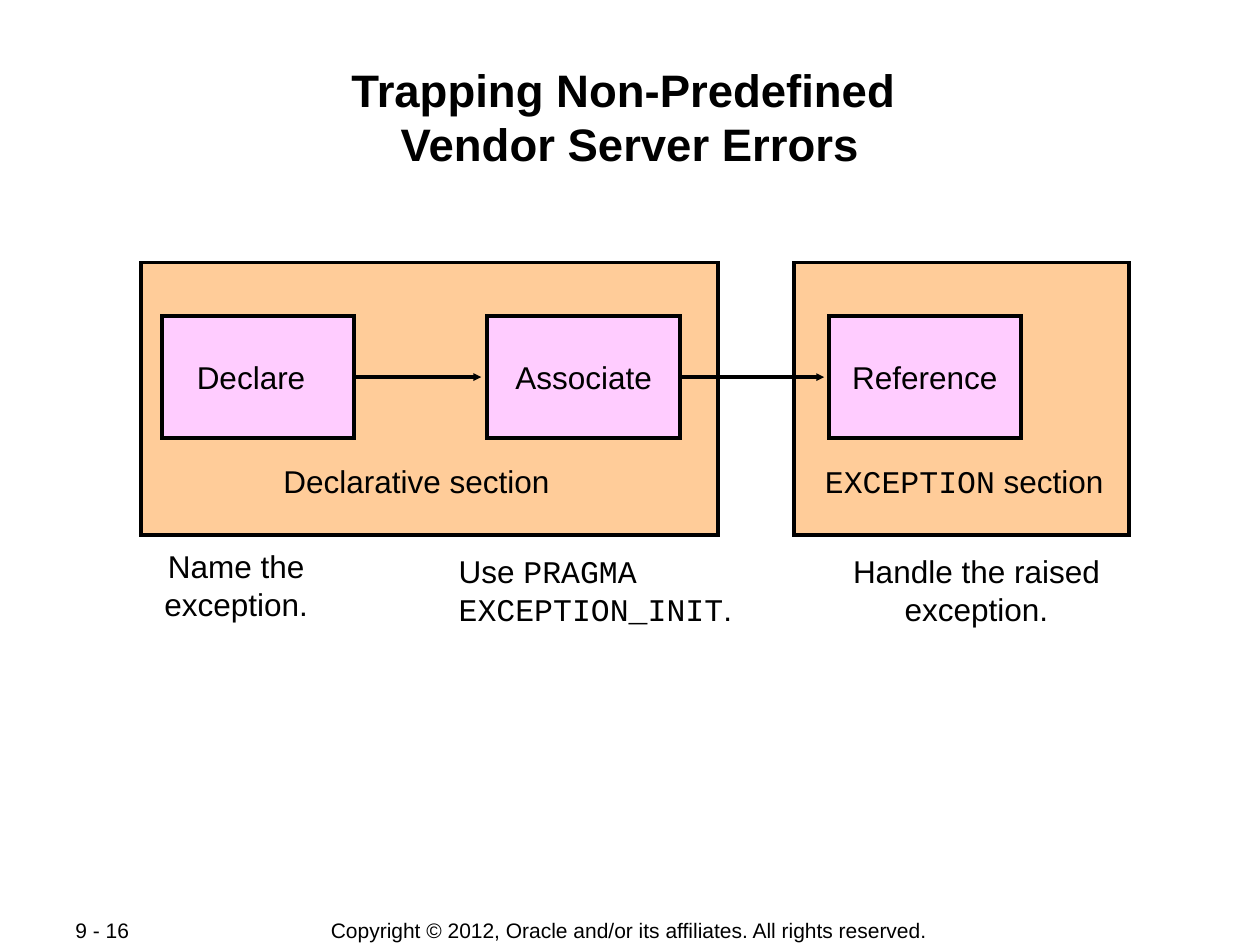
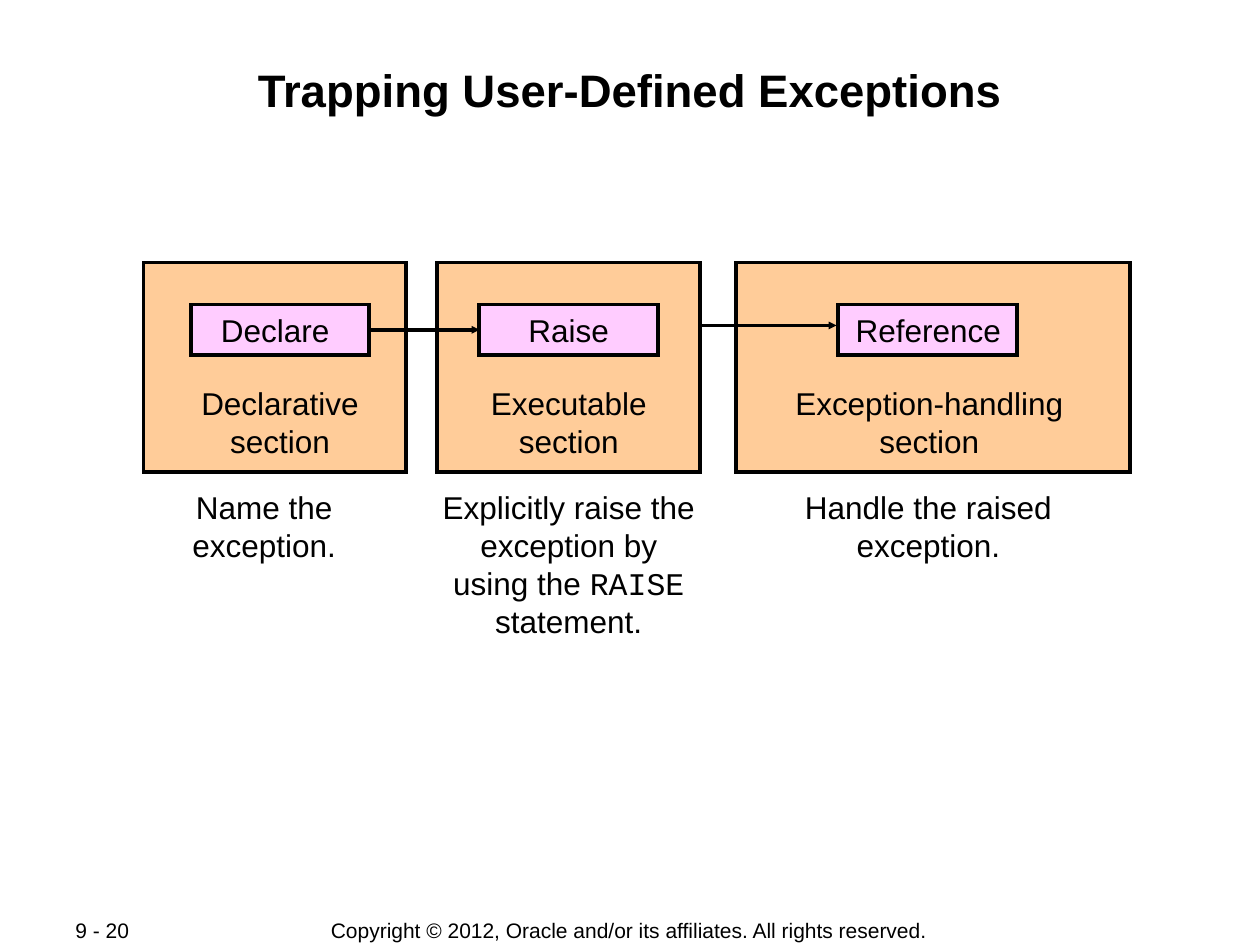
from lxml.etree import SubElement
from pptx import Presentation
from pptx.dml.color import RGBColor
from pptx.enum.shapes import MSO_CONNECTOR, MSO_SHAPE
from pptx.enum.text import MSO_ANCHOR, MSO_AUTO_SIZE, PP_ALIGN
from pptx.oxml.ns import qn
from pptx.util import Pt

COLORS = {"ink": "000000", "section": "FFCC99", "step": "FFCCFF"}
BODY_FONT, CODE_FONT = "Arial", "Courier New"
OUTLINE = Pt(2.25)
COPYRIGHT = "Copyright © 2012, Oracle and/or its affiliates. All rights reserved."
LEFT, CENTER = PP_ALIGN.LEFT, PP_ALIGN.CENTER

# Areas are left, top, width, height in points; `backticks` mark code.
# A step ends with its right inset; an arrow is start x, end x, y.
slides = [
    {
        "title": "Trapping Non-Predefined \vVendor Server Errors",
        "number": "9 - 16",
        "sections": [(80.5, 150, 330, 156), (453.5, 150, 191.5, 156)],
        "section_labels": [
            ("Declarative section", (148, 260.5, 180, 29)),
            ("`EXCEPTION` section", (461, 260.5, 180, 29)),
        ],
        "steps": [
            ("Declare", (92.5, 180.5, 110, 70), 15.2),
            ("Associate", (278.5, 180.5, 110, 70), 7.2),
            ("Reference", (473.5, 180.5, 110, 70), 7.2),
        ],
        "arrows": [(202.5, 275, 215.5), (388.5, 471, 215.5)],
        "captions": [
            ("Name the\vexception.", (75, 309, 120, 54), CENTER),
            ("Use `PRAGMA EXCEPTION_INIT`.", (255, 312, 180, 54), LEFT),
            ("Handle the raised exception.", (471, 312, 174, 54), CENTER),
        ],
    },
    {
        "title": "Trapping User-Defined Exceptions",
        "number": "9 - 20",
        "sections": [(82, 150, 150, 120), (250, 150, 150, 120), (420.5, 150, 225.5, 120)],
        "section_labels": [
            ("Declarative\nsection", (100, 216, 120, 50)),
            ("Executable\nsection", (265, 216, 120, 50)),
            ("Exception-handling\nsection", (441, 216, 180, 50)),
        ],
        "steps": [
            ("Declare", (109, 174, 102, 29), 12.6),
            ("Raise", (274, 174, 102, 29), 7.2),
            ("Reference", (479, 174, 102, 29), 6),
        ],
        "arrows": [(211, 274, 188.5), (400.5, 478, 186)],
        "captions": [
            ("Name the\vexception.", (82, 275.5, 138, 54), CENTER),
            ("Explicitly raise the exception by using the `RAISE` statement.",
             (244, 275.5, 162, 108), CENTER),
            ("Handle the raised exception.", (427.5, 275.5, 206, 48), CENTER),
        ],
    },
]


def write(frame, text, align=CENTER, size=18, anchor=MSO_ANCHOR.TOP):
    frame.word_wrap = True
    frame.vertical_anchor = anchor
    for index, line in enumerate(text.split("\n")):
        paragraph = frame.add_paragraph() if index else frame.paragraphs[0]
        paragraph.alignment = align
        for part, piece in enumerate(line.split("`")):
            for row, words in enumerate(piece.split("\v")):
                if row:
                    paragraph.add_line_break()
                if words:
                    run = paragraph.add_run()
                    run.text = words
                    run.font.name = CODE_FONT if part % 2 else BODY_FONT
                    run.font.size = Pt(size)
                    run.font.color.rgb = RGBColor.from_string(COLORS["ink"])


def add_block(shapes, area, color):
    block = shapes.add_shape(MSO_SHAPE.RECTANGLE, *map(Pt, area))
    block.shadow.inherit = False
    block.fill.solid()
    block.fill.fore_color.rgb = RGBColor.from_string(COLORS[color])
    block.line.color.rgb = RGBColor.from_string(COLORS["ink"])
    block.line.width = OUTLINE
    SubElement(block.line._get_or_add_ln(), qn("a:miter"), lim="800000")
    return block


deck = Presentation()
deck.slide_width, deck.slide_height = Pt(720), Pt(540)

for content in slides:
    slide = deck.slides.add_slide(deck.slide_layouts[5])
    shapes = slide.shapes

    # Title
    title = shapes.title
    title.left, title.top, title.width, title.height = map(Pt, (48, 34.5, 624, 69))
    heading = title.text_frame
    heading.auto_size = MSO_AUTO_SIZE.NONE
    heading.margin_left = heading.margin_right = Pt(0.72)
    heading.margin_top = heading.margin_bottom = Pt(0.72)
    write(heading, content["title"], size=26)
    for run in heading.paragraphs[0].runs:
        run.font.bold = True

    # Footer
    copyright_line = shapes.add_textbox(*map(Pt, (179.5, 524, 360, 15)))
    write(copyright_line.text_frame, COPYRIGHT, size=12, anchor=MSO_ANCHOR.MIDDLE)
    page_number = shapes.add_textbox(*map(Pt, (36, 524, 76, 15)))
    write(page_number.text_frame, content["number"], LEFT, 12, MSO_ANCHOR.MIDDLE)

    # Program sections and their labels
    for area in content["sections"]:
        add_block(shapes, area, "section")
    for label, area in content["section_labels"]:
        write(shapes.add_textbox(*map(Pt, area)).text_frame, label)

    # Steps
    steps = []
    for label, area, right_inset in content["steps"]:
        step = add_block(shapes, area, "step")
        step.text_frame.margin_right = Pt(right_inset)
        write(step.text_frame, label, anchor=MSO_ANCHOR.MIDDLE)
        steps.append(step)

    # Arrows, joined to a step where they meet the middle of its side
    for (start, end, y), source, target in zip(content["arrows"], steps, steps[1:]):
        arrow = shapes.add_connector(
            MSO_CONNECTOR.STRAIGHT, Pt(start), Pt(y), Pt(end), Pt(y))
        if (Pt(start), Pt(y)) == (source.left + source.width, source.top + source.height // 2):
            arrow.begin_connect(source, 3)
        if (Pt(end), Pt(y)) == (target.left, target.top + target.height // 2):
            arrow.end_connect(target, 1)
        arrow.line.color.rgb = RGBColor.from_string(COLORS["ink"])
        arrow.line.width = OUTLINE
        SubElement(arrow.line._get_or_add_ln(), qn("a:tailEnd"),
                   type="triangle", w="sm", len="sm")
        SubElement(arrow._element.spPr, qn("a:effectLst"))

    # Captions below the sections
    for caption, area, align in content["captions"]:
        write(shapes.add_textbox(*map(Pt, area)).text_frame, caption, align)

deck.save("out.pptx")
